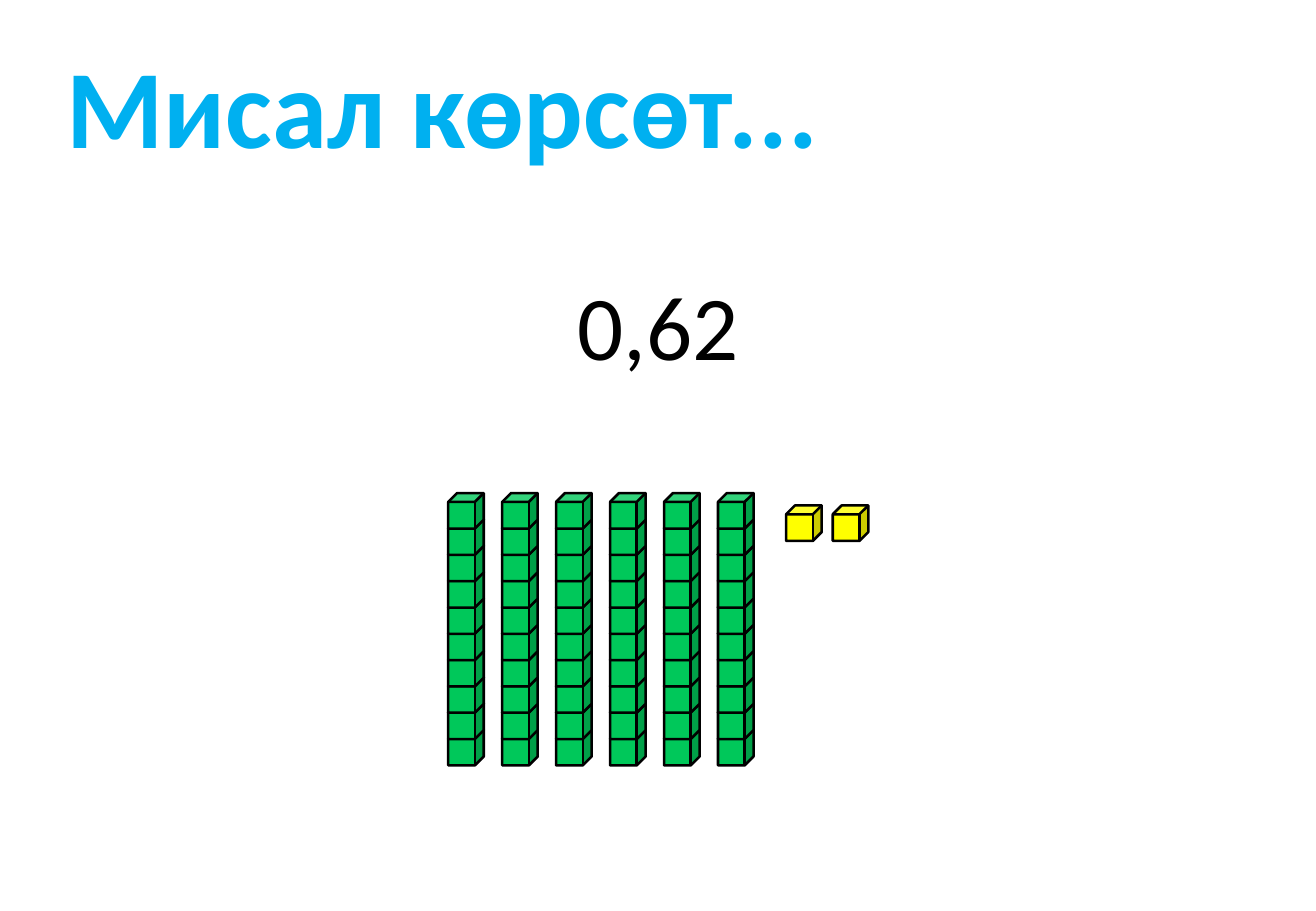
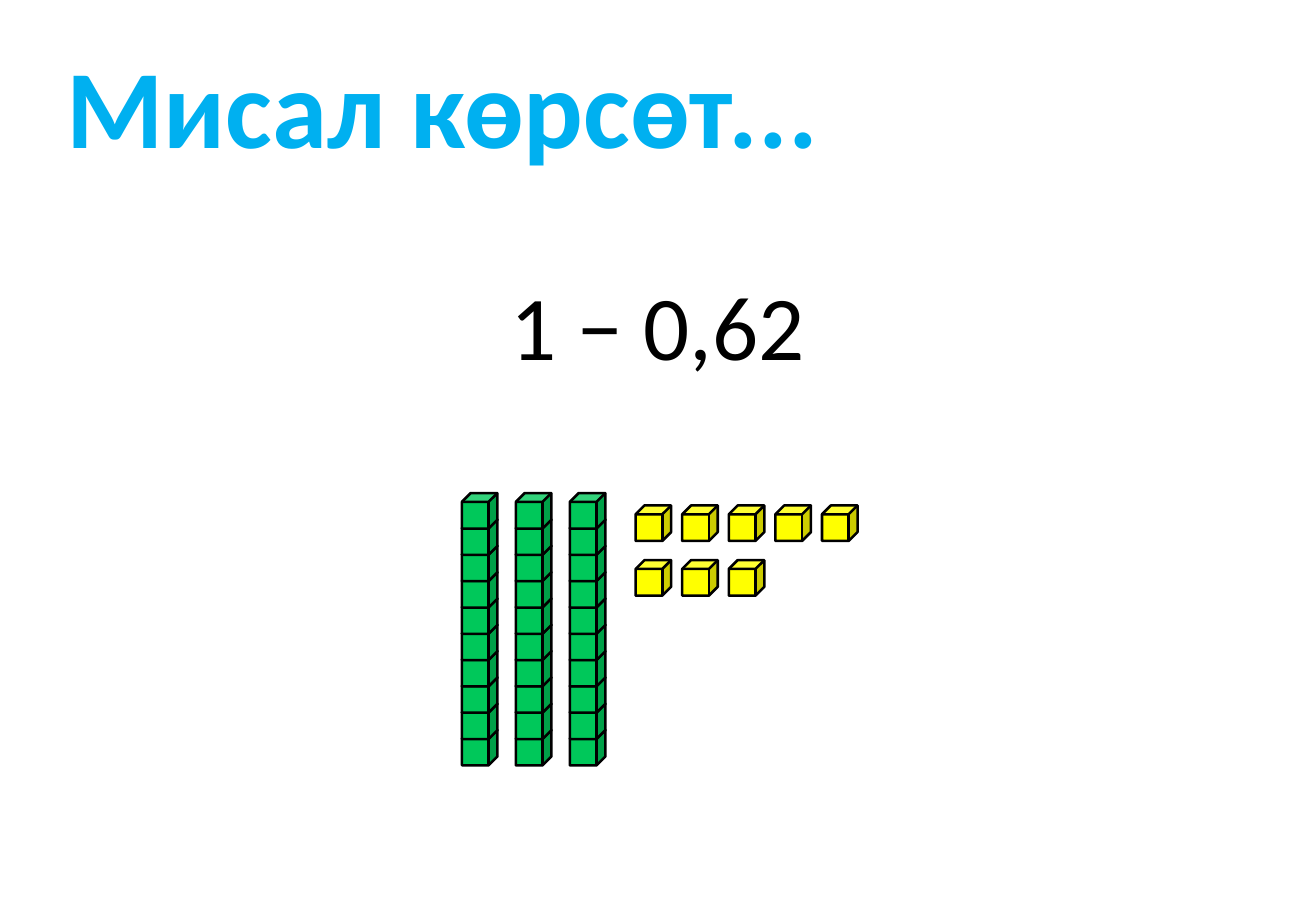
from pptx import Presentation
from pptx.dml.color import RGBColor
from pptx.enum.shapes import MSO_SHAPE as Shape
from pptx.enum.text import MSO_AUTO_SIZE as AutoSize, PP_ALIGN as Align
from pptx.util import Inches, Pt

SKY = RGBColor(0x00, 0xB0, 0xF0)
GREEN = RGBColor(0x00, 0xC8, 0x5A)
YELLOW = RGBColor(0xFF, 0xFF, 0x00)
BLACK = RGBColor(0x00, 0x00, 0x00)
FONT = "Calibri"

WIDTH, HEIGHT = 10.83, 7.5
COLUMNS = 50  # square grid: one unit is also the height of a cube's front face
CUBE = 1.35
ROD_CUBES, ROD_TOP, ROD_PITCH = 10, 18.74, 2.05
UNIT_TOP, UNIT_PITCH, UNIT_ROW_PITCH, UNITS_PER_ROW = 19.21, 1.77, 2.08, 5


def grid(n):
    return Inches(n * WIDTH / COLUMNS)


class Deck:
    def __init__(self):
        self.prs = Presentation()
        self.prs.slide_width, self.prs.slide_height = Inches(WIDTH), Inches(HEIGHT)
        self.s = None

    def new_slide(self):
        self.s = self.prs.slides.add_slide(self.prs.slide_layouts[6])

    def text(self, text, x, y, w, h, *, size, color=BLACK, bold=False,
             align=Align.LEFT, wrap=True, inset=0.1):
        tf = self.s.shapes.add_textbox(grid(x), grid(y), grid(w), grid(h)).text_frame
        tf.word_wrap = wrap
        tf.auto_size = AutoSize.SHAPE_TO_FIT_TEXT
        tf.margin_left = Inches(inset)
        p = tf.paragraphs[0]
        p.alignment = align
        r = p.add_run()
        r.text = text
        r.font.name, r.font.size, r.font.bold = FONT, Pt(size), bold
        r.font.color.rgb = color

    def title(self, text):
        self.text(text, 1.1, 1.2, 34.8, 5.6, size=66, color=SKY, bold=True, inset=0.31)

    def number(self, text, width):
        self.text(text, (COLUMNS - width) / 2, 10, width, 4.66, size=54,
                  align=Align.CENTER, wrap=False)

    def cube(self, group, x, y, color):
        sp = group.shapes.add_shape(Shape.CUBE, grid(x), grid(y), grid(CUBE), grid(CUBE))
        sp.shadow.inherit = False
        sp.fill.solid()
        sp.fill.fore_color.rgb = color
        sp.line.color.rgb = BLACK
        sp.line.width = Pt(1.5)

    def rods(self, count, x):
        """Tenths: stacks of cubes, drawn from the bottom up so each overlaps the one below."""
        for rod in range(count):
            group = self.s.shapes.add_group_shape()
            for level in reversed(range(ROD_CUBES)):
                self.cube(group, x + rod * ROD_PITCH, ROD_TOP + level, GREEN)

    def units(self, count, x):
        """Hundredths: single cubes in rows."""
        group = self.s.shapes.add_group_shape()
        for i in range(count):
            row, col = divmod(i, UNITS_PER_ROW)
            self.cube(group, x + col * UNIT_PITCH, UNIT_TOP + row * UNIT_ROW_PITCH, YELLOW)

    def example(self, number, width, tenths, tenths_x, hundredths, hundredths_x):
        self.new_slide()
        self.number(number, width)
        self.rods(tenths, tenths_x)
        self.units(hundredths, hundredths_x)
        self.title("Мисал көрсөт...")


def main():
    deck = Deck()
    deck.example("0,62", 7.1, 6, 17.03, 2, 29.87)
    deck.example("1 − 0,62", 12.24, 3, 17.55, 8, 24.15)
    deck.prs.save("out.pptx")


if __name__ == "__main__":
    main()
